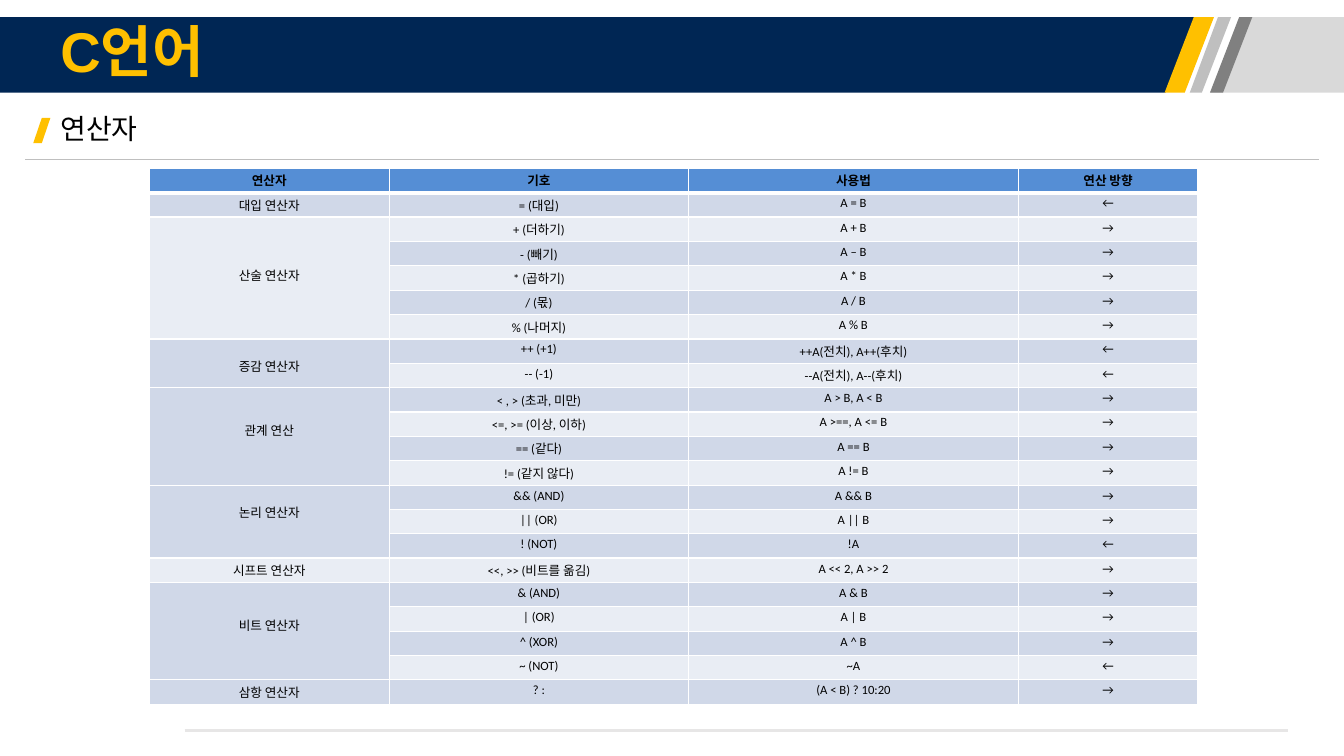
"""Build the C language operator table slide."""
import dataclasses

import lxml.etree
import pptx
import pptx.dml.color
import pptx.enum.shapes
import pptx.enum.text
import pptx.oxml.ns
import pptx.presentation
import pptx.shapes.autoshape
import pptx.slide
import pptx.table
import pptx.text.text
import pptx.util

EMU_PER_PX = 9144


@dataclasses.dataclass(frozen=True)
class Theme:
    navy: str = "002654"
    gold: str = "FFC000"
    pale_gray: str = "D9D9D9"
    light_gray: str = "BFBFBF"
    dark_gray: str = "808080"
    footer_gray: str = "E7E6E6"
    header_blue: str = "558ED5"
    bands: tuple[str, str] = ("E9EDF4", "D0D8E8")
    white: str = "FFFFFF"
    black: str = "000000"
    title_font: str = "Arial"
    body_font: str = "Calibri"
    title_size: int = 40
    subtitle_size: int = 20
    table_size: int = 9


@dataclasses.dataclass(frozen=True)
class Stripe:
    top_left: int
    top_right: int
    bottom_right: int
    bottom_left: int
    color: str


@dataclasses.dataclass(frozen=True)
class Rule:
    left: int
    right: int
    y: int
    color: str
    weight: float


@dataclasses.dataclass(frozen=True)
class Group:
    label: str
    lead_lines: int
    operators: tuple[tuple[str, str, str], ...]


THEME = Theme()
STRIPE_TOP, STRIPE_BOTTOM = 17, 92
STRIPES = (
    Stripe(0, 1185, 1156, 0, THEME.navy),
    Stripe(1230, 1333, 1333, 1201, THEME.pale_gray),
    Stripe(1208, 1221, 1192, 1180, THEME.light_gray),
    Stripe(1229, 1242, 1213, 1200, THEME.dark_gray),
    Stripe(1184, 1204, 1175, 1155, THEME.gold),
)
RULES = (
    Rule(183, 1277, 725, THEME.footer_gray, 2.28),
    Rule(25, 1308, 158, THEME.light_gray, 0.75),
)
HEADERS = ("연산자", "기호", "사용법", "연산 방향")
COLUMN_WIDTHS = (238, 297, 327, 178)
TABLE_HEIGHT = 531
LEAD_LINE = 15
LEFT, RIGHT = "←", "→"
GROUPS = (
    Group("대입 연산자", 0, (("= (대입)", "A = B", LEFT),)),
    Group("산술 연산자", 3, (
        ("+ (더하기)", "A + B", RIGHT),
        ("- (빼기)", "A – B", RIGHT),
        ("* (곱하기)", "A * B", RIGHT),
        ("/ (몫)", "A / B", RIGHT),
        ("% (나머지)", "A % B", RIGHT),
    )),
    Group("증감 연산자", 1, (
        ("++ (+1)", "++A(전치), A++(후치)", LEFT),
        ("-- (-1)", "--A(전치), A--(후치)", LEFT),
    )),
    Group("관계 연산", 2, (
        ("< , > (초과, 미만)", "A > B, A < B", RIGHT),
        ("<=, >= (이상, 이하)", "A >==, A <= B", RIGHT),
        ("== (같다)", "A == B", RIGHT),
        ("!= (같지 않다)", "A != B", RIGHT),
    )),
    Group("논리 연산자", 1, (
        ("&& (AND)", "A && B", RIGHT),
        ("|| (OR)", "A || B", RIGHT),
        ("! (NOT)", "!A", LEFT),
    )),
    Group("시프트 연산자", 0, (("<<, >> (비트를 옮김)", "A << 2, A >> 2", RIGHT),)),
    Group("비트 연산자", 2, (
        ("& (AND)", "A & B", RIGHT),
        ("| (OR)", "A | B", RIGHT),
        ("^ (XOR)", "A ^ B", RIGHT),
        ("~ (NOT)", "~A", LEFT),
    )),
    Group("삼항 연산자", 0, (("? :", "(A < B) ? 10:20", RIGHT),)),
)


def px(length: int) -> pptx.util.Emu:
    return pptx.util.Emu(length * EMU_PER_PX)


def rgb(color: str) -> pptx.dml.color.RGBColor:
    return pptx.dml.color.RGBColor.from_string(color)


def style_font(paragraph: pptx.text.text._Paragraph, name: str, size: int, color: str, bold: bool) -> None:
    paragraph.font.name = name
    paragraph.font.size = pptx.util.Pt(size)
    paragraph.font.color.rgb = rgb(color)
    paragraph.font.bold = bold


def paint(shape: pptx.shapes.autoshape.Shape, color: str) -> None:
    shape.shadow.inherit = False
    shape.fill.solid()
    shape.fill.fore_color.rgb = rgb(color)
    shape.line.fill.background()


def draw_stripe(slide: pptx.slide.Slide, stripe: Stripe) -> None:
    builder = slide.shapes.build_freeform(stripe.top_left, STRIPE_TOP, scale=float(EMU_PER_PX))
    builder.add_line_segments((
        (stripe.top_right, STRIPE_TOP),
        (stripe.bottom_right, STRIPE_BOTTOM),
        (stripe.bottom_left, STRIPE_BOTTOM),
    ), close=True)
    paint(builder.convert_to_shape(), stripe.color)


def draw_rule(slide: pptx.slide.Slide, rule: Rule) -> None:
    connector = slide.shapes.add_connector(
        pptx.enum.shapes.MSO_CONNECTOR.STRAIGHT, px(rule.left), px(rule.y), px(rule.right), px(rule.y))
    connector.line.color.rgb = rgb(rule.color)
    connector.line.width = pptx.util.Pt(rule.weight)
    lxml.etree.SubElement(connector.element.spPr, pptx.oxml.ns.qn("a:effectLst"))


def write_heading(shape: pptx.shapes.autoshape.Shape, text: str, font: str, size: int, color: str, bold: bool) -> None:
    frame = shape.text_frame
    frame.text = text
    frame.word_wrap = True
    frame.auto_size = pptx.enum.text.MSO_AUTO_SIZE.NONE
    frame.vertical_anchor = pptx.enum.text.MSO_ANCHOR.MIDDLE
    paragraph = frame.paragraphs[0]
    paragraph.alignment = pptx.enum.text.PP_ALIGN.LEFT
    paragraph.line_spacing = 0.9
    paragraph.space_after = pptx.util.Pt(6)
    style_font(paragraph, font, size, color, bold)


def border_cell(cell: pptx.table._Cell, row: int) -> None:
    properties = cell._tc.get_or_add_tcPr()
    thick_side = {0: "lnB", 1: "lnT"}.get(row)
    for side in ("lnL", "lnR", "lnT", "lnB"):
        width = pptx.util.Pt(3 if side == thick_side else 1)
        line = lxml.etree.SubElement(properties, pptx.oxml.ns.qn(f"a:{side}"), w=str(width))
        fill = lxml.etree.SubElement(line, pptx.oxml.ns.qn("a:solidFill"))
        lxml.etree.SubElement(fill, pptx.oxml.ns.qn("a:srgbClr"), val=THEME.white)


def fill_cell(cell: pptx.table._Cell, text: str, row: int, lead_lines: int) -> None:
    border_cell(cell, row)
    cell.fill.solid()
    cell.fill.fore_color.rgb = rgb(THEME.bands[row % 2] if row else THEME.header_blue)
    cell.margin_left = cell.margin_right = px(5)
    cell.margin_top = px(3 + LEAD_LINE * lead_lines)
    cell.margin_bottom = px(3)
    cell.text = text
    paragraph = cell.text_frame.paragraphs[0]
    paragraph.alignment = pptx.enum.text.PP_ALIGN.CENTER
    style_font(paragraph, THEME.body_font, THEME.table_size, THEME.black, row == 0)


def draw_table(slide: pptx.slide.Slide) -> None:
    rows = [(HEADERS, 0)]
    spans = []
    for group in GROUPS:
        spans.append((len(rows), len(rows) + len(group.operators) - 1))
        for index, operator in enumerate(group.operators):
            first = index == 0
            rows.append(((group.label if first else "", *operator), group.lead_lines if first else 0))
    table = slide.shapes.add_table(
        len(rows), len(HEADERS), px(148), px(167), px(sum(COLUMN_WIDTHS)), px(TABLE_HEIGHT)).table
    table.first_row = table.horz_banding = False
    for column, width in zip(table.columns, COLUMN_WIDTHS):
        column.width = px(width)
    for row, (texts, lead_lines) in enumerate(rows):
        table.rows[row].height = px(TABLE_HEIGHT) // len(rows)
        for column, text in enumerate(texts):
            fill_cell(table.cell(row, column), text, row, 0 if column else lead_lines)
    for first, last in spans:
        if last > first:
            table.cell(first, 0).merge(table.cell(last, 0))


def build_slide(presentation: pptx.presentation.Presentation) -> None:
    slide = presentation.slides.add_slide(presentation.slide_layouts[5])
    for stripe in STRIPES:
        draw_stripe(slide, stripe)
    marker = slide.shapes.add_shape(
        pptx.enum.shapes.MSO_SHAPE.PARALLELOGRAM, px(33), px(117), px(17), px(25))
    marker.adjustments[0] = 0.5
    paint(marker, THEME.gold)
    for rule in RULES:
        draw_rule(slide, rule)
    subtitle = slide.shapes.add_textbox(px(50), px(108), px(1236), px(43))
    write_heading(subtitle, "연산자", THEME.body_font, THEME.subtitle_size, THEME.black, False)
    title = slide.shapes.title
    title.left, title.top, title.width, title.height = px(50), px(17), px(924), px(74)
    write_heading(title, "C언어", THEME.title_font, THEME.title_size, THEME.gold, True)
    title.element.getparent().append(title.element)
    draw_table(slide)


def main() -> None:
    presentation = pptx.Presentation()
    presentation.slide_width, presentation.slide_height = px(1333), px(750)
    build_slide(presentation)
    presentation.save("out.pptx")


if __name__ == "__main__":
    main()
